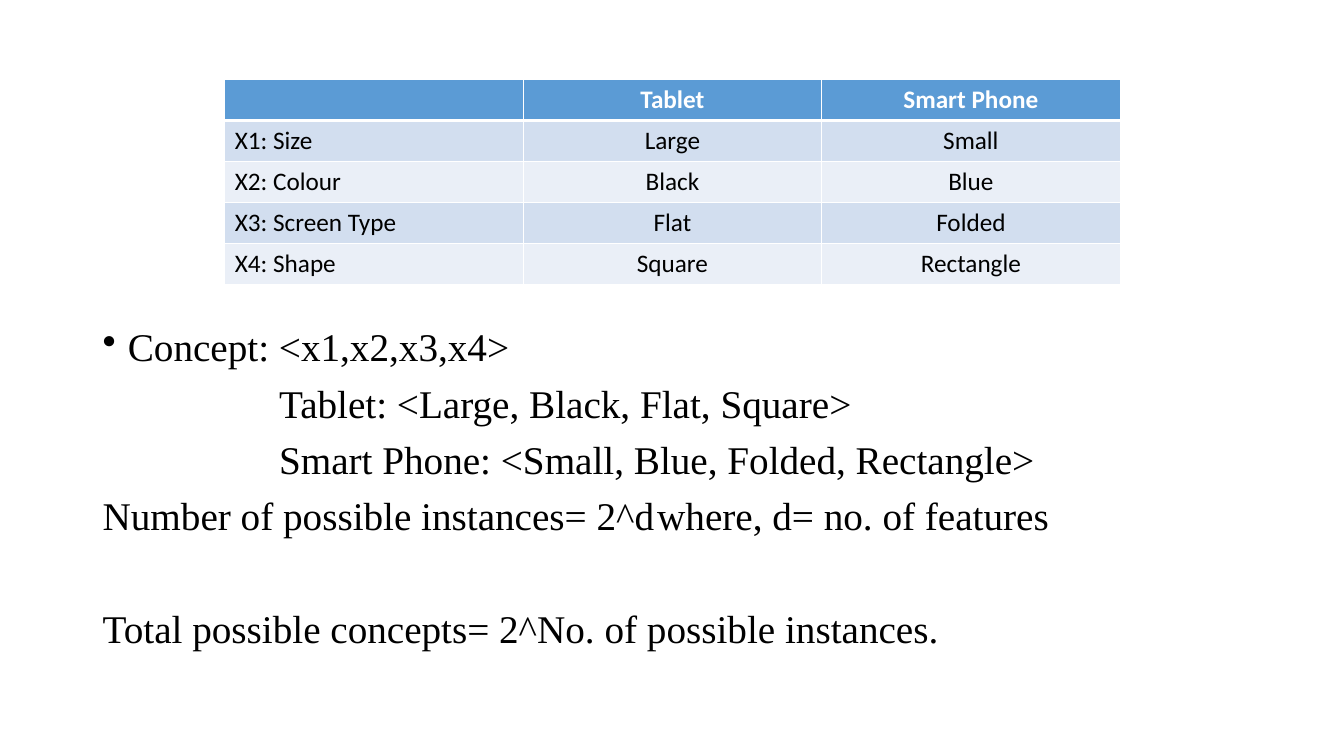
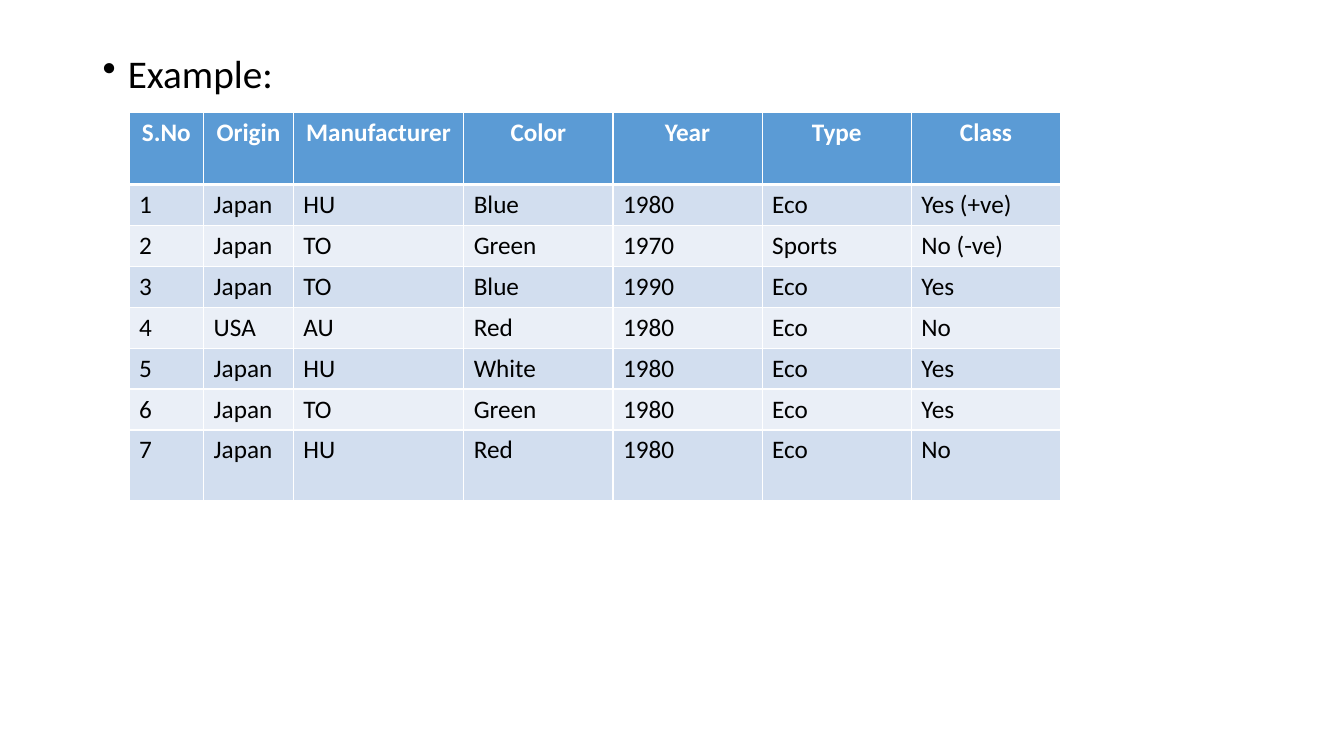
"""Build two slides on concept learning: feature table and training examples."""
from dataclasses import dataclass

from lxml.etree import SubElement
from pptx import Presentation
from pptx.dml.color import RGBColor
from pptx.enum.text import PP_ALIGN
from pptx.oxml.ns import qn
from pptx.util import Inches, Pt


@dataclass(frozen=True)
class Theme:
    """Colours, fonts and sizes shared by the slides."""
    header: str = "5B9BD5"
    bands: tuple = ("D2DEEF", "EAEFF7")
    white: str = "FFFFFF"
    black: str = "000000"
    sans: str = "Calibri"
    serif: str = "Times New Roman"
    body_size: float = 28
    cell_size: float = 18
    rule: float = 1
    header_rule: float = 3
    gap: float = 10.3
    leading: float = 30
    body_left: float = 0.92
    body_width: float = 11.5
    row_height: float = 0.406


class Deck:
    """Hold the theme and the current slide."""

    def __init__(self, theme):
        """Start a widescreen presentation."""
        self.theme = theme
        self.prs = Presentation()
        self.prs.slide_width = Inches(13.33)
        self.prs.slide_height = Inches(7.5)
        self.s = None

    def slide(self):
        """Add a blank slide and make it current."""
        self.s = self.prs.slides.add_slide(self.prs.slide_layouts[6])

    def run(self, p, text, font, size, color, bold=False):
        """Add one styled run to a paragraph."""
        r = p.add_run()
        r.text = text
        r.font.name = font
        r.font.size = Pt(size)
        r.font.bold = bold
        r.font.color.rgb = RGBColor.from_string(color)

    def body(self, top, height, font, lines):
        """Add body text from (text, options) pairs."""
        t = self.theme
        sp = self.s.shapes.add_textbox(Inches(t.body_left), Inches(top),
                                       Inches(t.body_width), Inches(height))
        tf = sp.text_frame
        tf.word_wrap = True
        for i, (text, options) in enumerate(lines):
            p = tf.add_paragraph() if i else tf.paragraphs[0]
            self.paragraph(p, **options)
            self.run(p, text, font, t.body_size, t.black)

    def paragraph(self, p, bullet=False, indent=0, before=None, tab=None):
        """Set the spacing, indent, bullet and tab stop of a paragraph."""
        p.line_spacing = Pt(self.theme.leading)
        p.space_before = Pt(self.theme.gap if before is None else before)
        pPr = p._p.get_or_add_pPr()
        hang = 0.25 if bullet else 0
        pPr.set("marL", str(Inches(indent + hang)))
        pPr.set("indent", str(-Inches(hang)))
        if bullet:
            SubElement(pPr, qn("a:buChar"), char="•")
        else:
            SubElement(pPr, qn("a:buNone"))
        if tab:
            stops = SubElement(pPr, qn("a:tabLst"))
            SubElement(stops, qn("a:tab"), pos=str(Inches(tab)), algn="l")

    def borders(self, cell, row):
        """Draw white cell borders, heavier under the header row."""
        t = self.theme
        tcPr = cell._tc.get_or_add_tcPr()
        heavy = {(0, "B"), (1, "T")}
        for side in "LRTB":
            width = t.header_rule if (row, side) in heavy else t.rule
            ln = SubElement(tcPr, qn(f"a:ln{side}"), w=str(Pt(width)))
            fill = SubElement(ln, qn("a:solidFill"))
            SubElement(fill, qn("a:srgbClr"), val=t.white)

    def table(self, left, top, widths, heights, rows, centred_from):
        """Add a banded table, centring the header and later columns."""
        t = self.theme
        frame = self.s.shapes.add_table(
            len(rows), len(widths), Inches(left), Inches(top),
            Inches(sum(widths)), Inches(sum(heights)))
        tbl = frame.table
        for column, width in zip(tbl.columns, widths):
            column.width = Inches(width)
        for i, (values, height) in enumerate(zip(rows, heights)):
            tbl.rows[i].height = Inches(height)
            color = t.bands[(i - 1) % 2] if i else t.header
            for j, text in enumerate(values):
                cell = tbl.cell(i, j)
                self.borders(cell, i)
                cell.fill.solid()
                cell.fill.fore_color.rgb = RGBColor.from_string(color)
                p = cell.text_frame.paragraphs[0]
                centred = i == 0 or j >= centred_from
                p.alignment = PP_ALIGN.CENTER if centred else PP_ALIGN.LEFT
                if text:
                    self.run(p, text, t.sans, t.cell_size,
                             t.black if i else t.white, bold=i == 0)


def concept_slide(deck):
    """Show the features and the size of the concept space."""
    t = deck.theme
    rows = [
        ("", "Tablet", "Smart Phone"),
        ("X1: Size", "Large", "Small"),
        ("X2: Colour", "Black", "Blue"),
        ("X3: Screen Type", "Flat", "Folded"),
        ("X4: Shape", "Square", "Rectangle"),
    ]
    deck.slide()
    deck.table(2.23, 0.79, [2.96] * 3, [t.row_height] * len(rows), rows, 1)
    deck.body(3.2, 3.56, t.serif, [
        ("Concept: <x1,x2,x3,x4>", {"bullet": True}),
        ("Tablet: <Large, Black, Flat, Square>", {"indent": 1.75}),
        ("Smart Phone: <Small, Blue, Folded, Rectangle>", {"indent": 1.75}),
        ("Number of possible instances= 2^d\twhere, d= no. of features",
         {"tab": 5.86}),
        ("Total possible concepts= 2^No. of possible instances.",
         {"before": 2 * t.gap + t.leading}),
    ])


def example_slide(deck):
    """Show the training examples."""
    t = deck.theme
    rows = [
        ("S.No", "Origin", "Manufacturer", "Color", "Year", "Type", "Class"),
        ("1", "Japan", "HU", "Blue", "1980", "Eco", "Yes (+ve)"),
        ("2", "Japan", "TO", "Green", "1970", "Sports", "No (-ve)"),
        ("3", "Japan", "TO", "Blue", "1990", "Eco", "Yes"),
        ("4", "USA", "AU", "Red", "1980", "Eco", "No"),
        ("5", "Japan", "HU", "White", "1980", "Eco", "Yes"),
        ("6", "Japan", "TO", "Green", "1980", "Eco", "Yes"),
        ("7", "Japan", "HU", "Red", "1980", "Eco", "No"),
    ]
    heights = [0.71] + [t.row_height] * 6 + [0.7]
    deck.slide()
    deck.body(0.49, 0.6, t.sans, [("Example:", {"bullet": True})])
    deck.table(1.28, 1.12, [0.74, 0.89, 1.69] + [1.48] * 4, heights, rows, 7)


def main():
    """Build and save the deck."""
    deck = Deck(Theme())
    concept_slide(deck)
    example_slide(deck)
    deck.prs.save("out.pptx")


if __name__ == "__main__":
    main()
